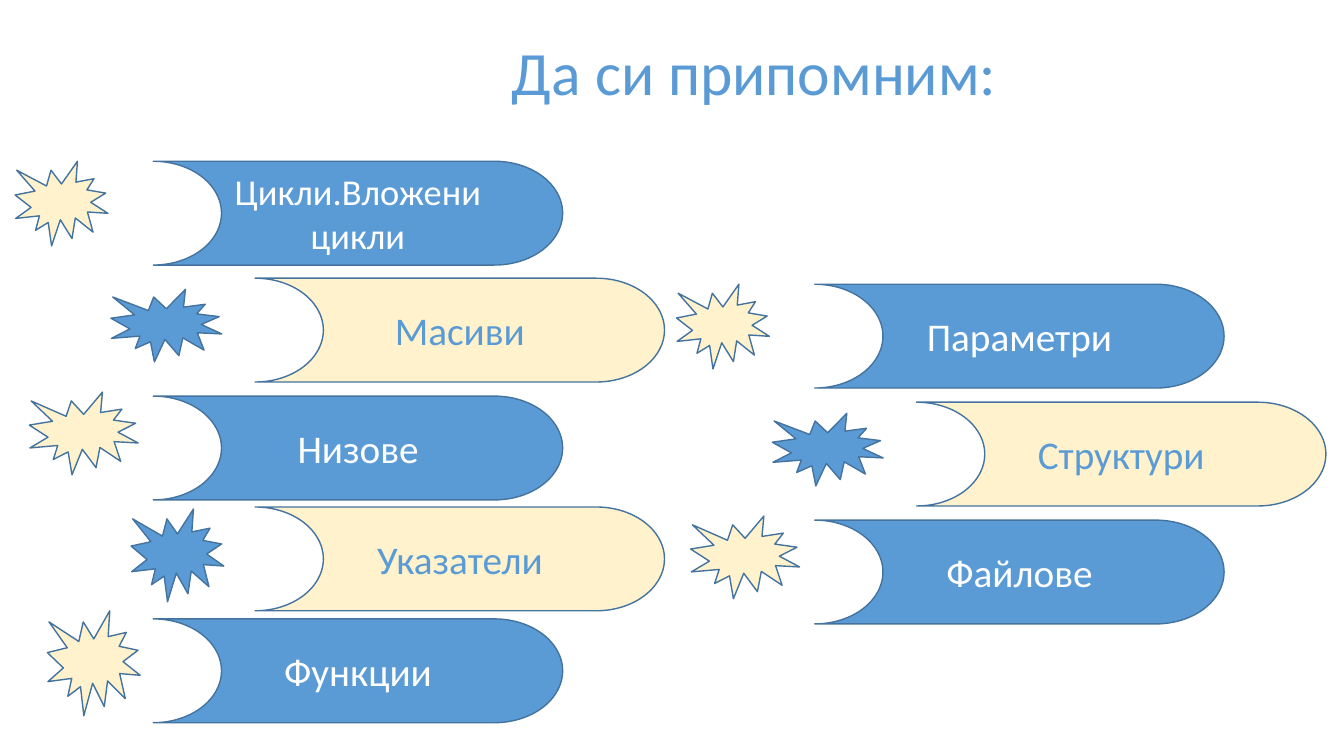
"""Build a recap slide: two staggered columns of topic banners with star bursts."""
from pptx import Presentation
from pptx.dml.color import RGBColor
from pptx.enum.shapes import MSO_SHAPE
from pptx.enum.text import MSO_ANCHOR, PP_ALIGN
from pptx.util import Inches, Pt

BLUE = RGBColor(0x5B, 0x9B, 0xD5)
CREAM = RGBColor(0xFF, 0xF2, 0xCC)
EDGE = RGBColor(0x43, 0x73, 0x9E)
WHITE = RGBColor(0xFF, 0xFF, 0xFF)
BURST = MSO_SHAPE.EXPLOSION1
BANNER = MSO_SHAPE.FLOWCHART_STORED_DATA
MIDDLE = MSO_ANCHOR.MIDDLE
CENTER = PP_ALIGN.CENTER
FONT = "Calibri"
SHIFT = 1.01

COLUMNS = [
    (1.52, [
        ("Цикли.Вложени цикли", 26, 1.6, (0.15, 1.6, 0.92, 0.84)),
        ("Масиви", 28, 2.76, (1.1, 2.87, 1.1, 0.72)),
        ("Низове", 28, 3.93, (0.29, 3.89, 1.08, 0.82)),
        ("Указатели", 28, 5.03, (1.3, 5.05, 0.92, 0.92)),
        ("Функции", 28, 6.14, (0.47, 6.06, 0.92, 1.04)),
    ]),
    (8.08, [
        ("Параметри", 28, 2.82, (6.71, 2.82, 0.92, 0.84)),
        ("Структури", 28, 3.99, (7.66, 4.1, 1.1, 0.72)),
        ("Файлове", 28, 5.16, (6.85, 5.12, 1.08, 0.82)),
    ]),
]


def add_form(kind, box, fill):
    form = slide.shapes.add_shape(kind, *map(Inches, box))
    form.shadow.inherit = False
    form.fill.solid()
    form.fill.fore_color.rgb = fill
    form.line.color.rgb = EDGE
    form.line.width = Pt(1)
    return form


def set_text(shape, text, size, color):
    frame = shape.text_frame
    frame.word_wrap = True
    frame.vertical_anchor = MIDDLE
    frame.text = text
    line = frame.paragraphs[0]
    font = line.runs[0].font
    font.name = FONT
    font.size = Pt(size)
    font.color.rgb = color
    return line


deck = Presentation()
deck.slide_width = Inches(13.33)
deck.slide_height = Inches(7.5)
slide = deck.slides.add_slide(deck.slide_layouts[6])

title = slide.shapes.add_textbox(Inches(4.98), Inches(0.02), Inches(5.36), Inches(1.45))
set_text(title, "Да си припомним:", 44, BLUE).line_spacing = 0.9

for left, topics in COLUMNS:
    for row, (text, size, top, burst) in enumerate(topics):
        odd = row % 2
        fill, accent, ink = (CREAM, BLUE, BLUE) if odd else (BLUE, CREAM, WHITE)
        add_form(BURST, burst, accent)
        banner = add_form(BANNER, (left + odd * SHIFT, top, 4.06, 1.03), fill)
        banner.rotation = 180
        banner._element.spPr.xfrm.set("flipV", "1")
        set_text(banner, text, size, ink).alignment = CENTER

deck.save("out.pptx")
